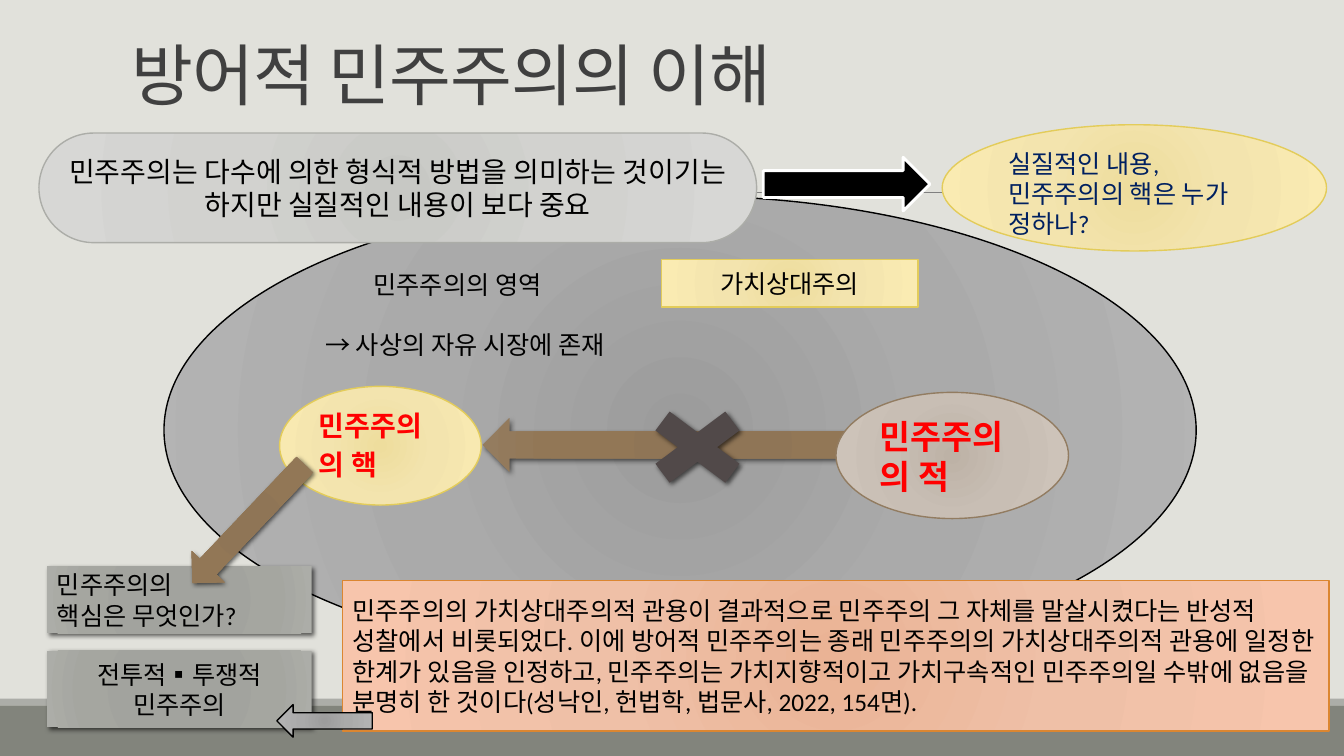
from lxml import etree
from pptx import Presentation
from pptx.dml.color import RGBColor
from pptx.enum.shapes import MSO_CONNECTOR, MSO_SHAPE
from pptx.enum.text import MSO_ANCHOR, MSO_AUTO_SIZE, PP_ALIGN
from pptx.oxml.ns import qn
from pptx.util import Inches, Pt

RECT, OVAL, PILL = MSO_SHAPE.RECTANGLE, MSO_SHAPE.OVAL, MSO_SHAPE.ROUNDED_RECTANGLE
PROCESS, CROSS = MSO_SHAPE.FLOWCHART_PROCESS, MSO_SHAPE.MATH_MULTIPLY
LEFT_ARROW, RIGHT_ARROW, DOWN_ARROW = MSO_SHAPE.LEFT_ARROW, MSO_SHAPE.RIGHT_ARROW, MSO_SHAPE.DOWN_ARROW
TOP, MIDDLE, BOTTOM = MSO_ANCHOR.TOP, MSO_ANCHOR.MIDDLE, MSO_ANCHOR.BOTTOM
LEFT, CENTER = PP_ALIGN.LEFT, PP_ALIGN.CENTER

THEME = {
    "background": "E1E1DB", "title": "404040", "rule": "808080",
    "bar": "82847C", "bar_edge": "ACADA8",
    "black": "000000", "white": "FFFFFF", "red": "FF0000", "navy": "002060", "cross": "514949",
    "gray": ((0, "9C9C9C"), (45, "AAAAAA"), (100, "B4B4B4")),
    "brown": ((0, "8F7454"), (34, "8F7556"), (70, "927756"), (100, "947C5F")),
    "taupe": ((0, "BDB2A6"), (45, "C8BEB4"), (100, "CFC5BB")), "taupe_edge": "927C61",
    "peach": ((0, "EAB395"), (45, "EFC0A7"), (100, "F7C5AC")), "peach_edge": "DB8631",
    "olive": ((0, "A1A29C"), (34, "A2A39E"), (70, "A5A6A0"), (100, "ACADA8")),
    "yellow": ((0, "EEDD9D"), (45, "F3E4AE"), (100, "FAEBB2")), "yellow_edge": "E3CC5A",
    "pale": ((0, "C7C8C4"), (45, "D2D2CF"), (100, "D7D7D5")),
    "font": "Calibri", "serif": "Times New Roman", "mark": "Karla",
    "title_size": 48, "large": 24, "medium": 20, "body": 18,
}

prs = Presentation()
prs.slide_width, prs.slide_height = Inches(13.33), Inches(7.5)
COL, ROW = prs.slide_width / 100, prs.slide_height / 100
slide = prs.slides.add_slide(prs.slide_layouts[5])
slide.background.fill.solid()
slide.background.fill.fore_color.rgb = RGBColor.from_string(THEME["background"])


def draw(kind, box, fill, edge=None, width=1, shadow=False):
    x, y, w, h = box
    sp = slide.shapes.add_shape(kind, int(x * COL), int(y * ROW), int(w * COL), int(h * ROW))
    sp.shadow.inherit = False
    props = sp.fill._xPr
    if isinstance(THEME[fill], str):
        sp.fill.solid()
        sp.fill.fore_color.rgb = RGBColor.from_string(THEME[fill])
    else:
        sp.fill.background()
        grad = etree.Element(qn("a:gradFill"), rotWithShape="1")
        stops = etree.SubElement(grad, qn("a:gsLst"))
        for pos, color in THEME[fill]:
            stop = etree.SubElement(stops, qn("a:gs"), pos=str(pos * 1000))
            etree.SubElement(stop, qn("a:srgbClr"), val=color)
        radial = etree.SubElement(grad, qn("a:path"), {"path": "circle"})
        etree.SubElement(radial, qn("a:fillToRect"), dict.fromkeys("ltrb", "100000"))
        props.replace(props.find(qn("a:noFill")), grad)
    if edge:
        sp.line.color.rgb = RGBColor.from_string(THEME[edge])
        sp.line.width = Pt(width)
    else:
        sp.line.fill.background()
    if shadow:
        outer = etree.SubElement(props.find(qn("a:effectLst")), qn("a:outerShdw"),
                                 blurRad=str(Pt(3.5)), dist=str(Pt(2)), dir="2700000",
                                 algn="tl", rotWithShape="0")
        color = etree.SubElement(outer, qn("a:srgbClr"), val=THEME["black"])
        etree.SubElement(color, qn("a:alpha"), val="60000")
    return sp


def write(sp, lines, size="body", color="black", font="font", anchor=MIDDLE, align=LEFT, bold=False):
    tf = sp.text_frame
    tf.word_wrap = True
    tf.auto_size = MSO_AUTO_SIZE.NONE
    tf.vertical_anchor = anchor
    for i, line in enumerate(lines):
        p = tf.paragraphs[0] if i == 0 else tf.add_paragraph()
        p.alignment = align
        for part in line:
            r = p.add_run()
            r.text = part
            r.font.name = THEME[font]
            r.font.size = Pt(THEME[size])
            r.font.bold = bold
            r.font.color.rgb = RGBColor.from_string(THEME[color])
    return tf.paragraphs


draw(RECT, (0, 93.3, 100, 6.7), "bar")
draw(RECT, (0, 92.4, 100, 0.9), "bar_edge")
rule = slide.shapes.add_connector(MSO_CONNECTOR.STRAIGHT, int(9.8 * COL), int(25.4 * ROW),
                                  int(91.6 * COL), int(25.4 * ROW))
rule.line.color.rgb = RGBColor.from_string(THEME["rule"])
rule.line.width = Pt(0.5)
etree.SubElement(rule.line._ln.getparent(), qn("a:effectLst"))

title = slide.shapes.title
title.left, title.top = int(9 * COL), int(4.1 * ROW)
title.width, title.height = int(82.5 * COL), int(11.7 * ROW)
p = write(title, [["방어적 민주주의의 이해"]], "title_size", "title", anchor=BOTTOM)[0]
p.line_spacing = 0.85
p.runs[0].font._element.set("spc", "-50")

domain = draw(OVAL, (12.2, 25.9, 76.8, 62), "gray", "black")
heading, market = write(domain, [["민주주의의 영역"], ["→ 사상의 자유 시장에 존재"]],
                        font="serif", anchor=TOP)
heading._p.get_or_add_pPr().set("marL", str(Inches(0.48)))
market.space_before = Pt(21)

draw(LEFT_ARROW, (35.9, 55.3, 34.3, 7.1), "brown", shadow=True)
draw(CROSS, (46.9, 52.5, 10, 13.3), "cross", shadow=True)

enemy = draw(OVAL, (62.2, 51.9, 17.3, 16.7), "taupe", "taupe_edge")
write(enemy, [["민주주의의 적"]], "large", "red", anchor=TOP, bold=True)

reflection = draw(RECT, (25.5, 76.8, 73.4, 19.9), "peach", "peach_edge")
write(reflection, [[
    "민주주의의 가치상대주의적 관용이 결과적으로 민주주의 그 자체를 말살시켰다는 반성적 성찰에서 "
    "비롯되었다. 이에 방어적 민주주의는 종래 민주주의의 가치상대주의적 관용에 일정한 한계가 있음을 "
    "인정하고, 민주주의는 가치지향적이고 가치구속적인 민주주의일 수밖에 없음을 분명히 한 것이다"
    "(성낙인, 헌법학, 법문사, 2022, 154면)."]])

militant = draw(RECT, (3.5, 86.1, 19.7, 10.1), "olive", shadow=True)
p = write(militant, [["전투적", "▪", "투쟁적"], ["민주주의"]], align=CENTER)[0]
p.runs[1].font.name = THEME["mark"]

draw(LEFT_ARROW, (20.6, 93.2, 7.1, 4.3), "gray", "black")

relativism = draw(PROCESS, (49.2, 34.3, 19.1, 6.3), "yellow", "yellow_edge")
write(relativism, [["가치상대주의"]], align=CENTER)

premise = draw(PILL, (2.9, 17.6, 53.4, 14.5), "pale", "bar_edge")
premise.adjustments[0] = 0.5
write(premise, [["민주주의는 다수에 의한 형식적 방법을 의미하는 것이기는 하지만 실질적인 내용이 보다 중요"]],
      "medium", align=CENTER)

decider = draw(OVAL, (70.1, 16.5, 28.6, 16.7), "yellow", "yellow_edge")
write(decider, [["실질적인 내용, 민주주의의 핵은 누가 정하나?"]], color="navy", anchor=TOP)

draw(RIGHT_ARROW, (56.8, 20.8, 12.4, 7.1), "black", "white", 2)

question = draw(RECT, (3.5, 74.9, 19.7, 8.9), "olive", shadow=True)
write(question, [["민주주의의"], ["핵심은 무엇인가?"]])

core = draw(OVAL, (20.8, 51.1, 15, 15.7), "yellow", "yellow_edge")
p = write(core, [["민주주의의 핵", " "]], "medium", "red", anchor=TOP, bold=True)[0]
p.runs[1].font.size = Pt(THEME["large"])

pointer = draw(DOWN_ARROW, (16.8, 58.5, 3.4, 21.6), "brown", shadow=True)
pointer.rotation = 43.5

prs.save("out.pptx")
